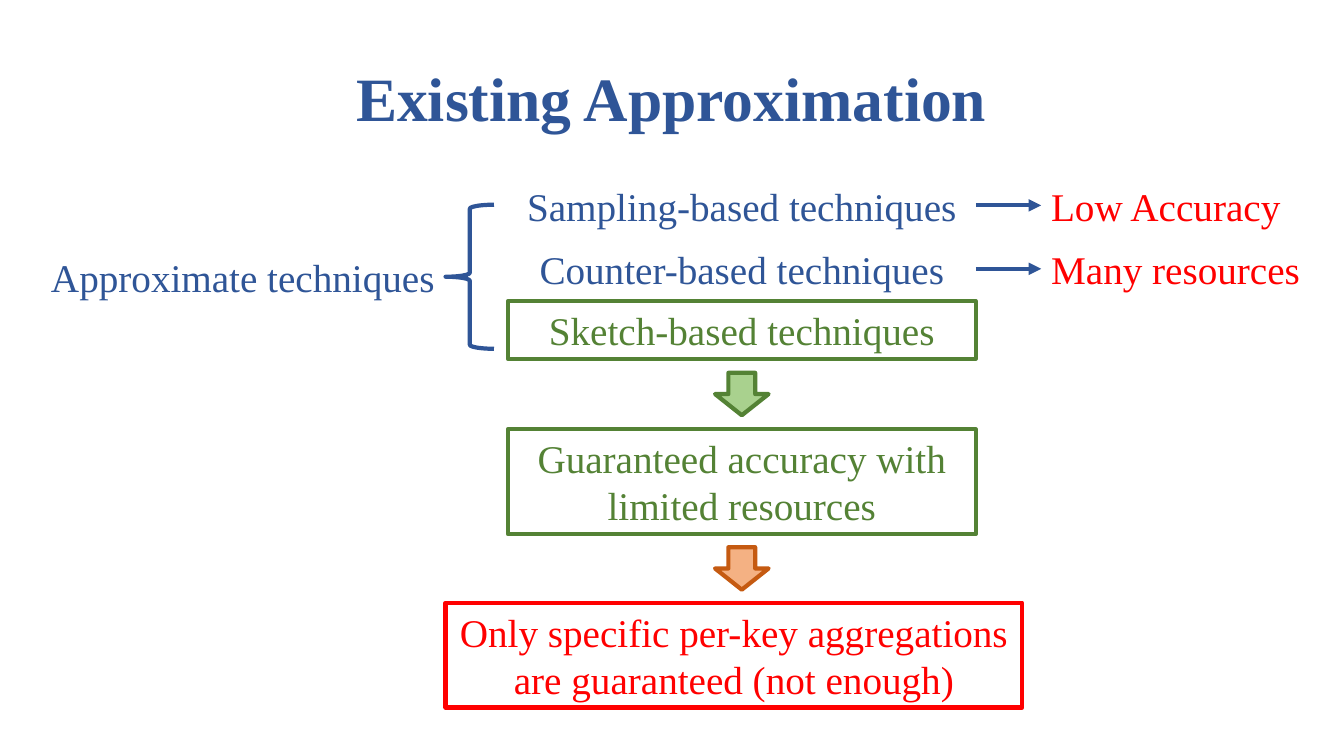
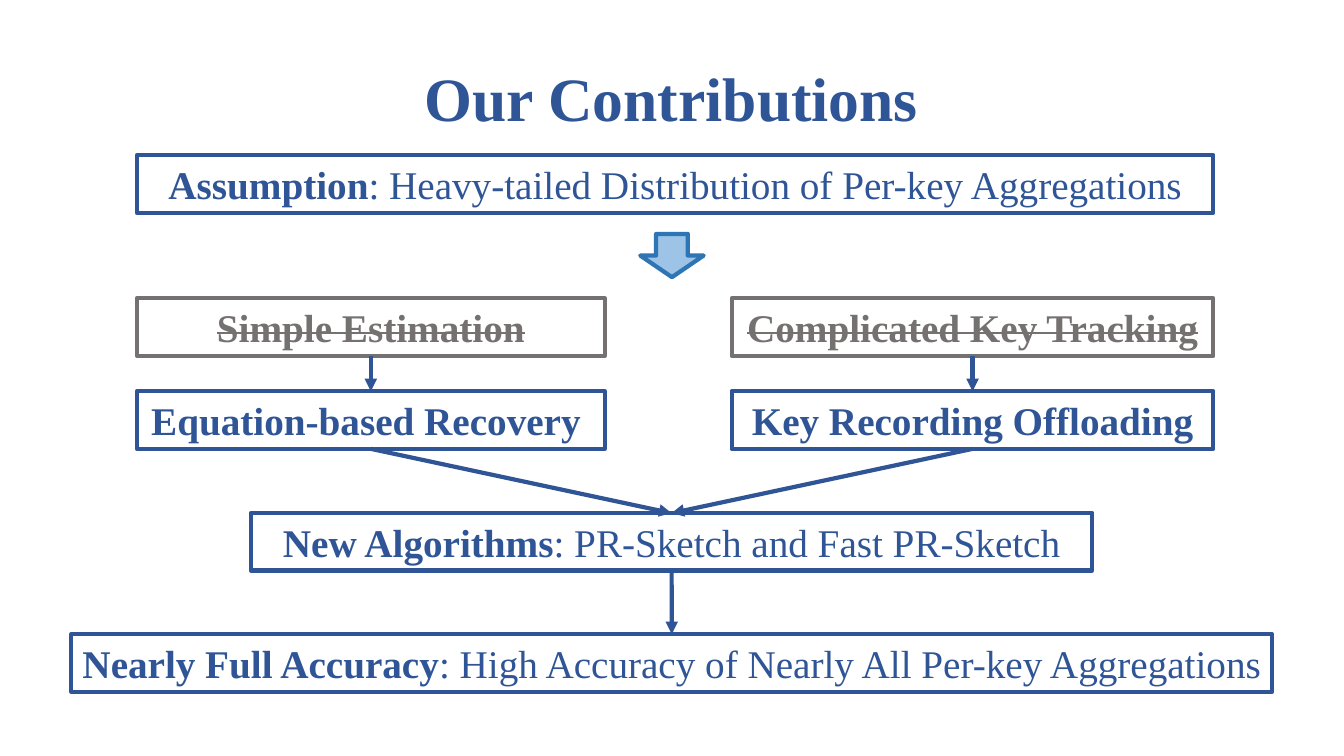
from dataclasses import dataclass

from lxml import etree
from pptx import Presentation
from pptx.dml.color import RGBColor
from pptx.enum import shapes, text
from pptx.oxml import ns
from pptx.util import Cm, Pt


@dataclass(frozen=True)
class Theme:
    """Colours, type sizes and line width of the deck."""
    font: str = "Times New Roman"
    title_size: int = 44
    body_size: int = 28
    line_width: int = 3
    blue: str = "2F5597"
    green: str = "548235"
    red: str = "FF0000"
    grey: str = "767171"
    blue_arrow: tuple = ("9DC3E6", "2E75B6")
    green_arrow: tuple = ("A9D18E", "548235")
    orange_arrow: tuple = ("F4B183", "C55A11")


THEME = Theme()
PAGE_SIZE = (33.87, 19.05)
TITLE_AREA = (0.81, 1.37, 32.23, 2.13)
ONE_LINE, TWO_LINES = 1.45, 2.64
SITE_TOP, SITE_LEFT, SITE_BOTTOM, SITE_RIGHT = range(4)
BOLD, STRUCK = {"bold": True}, {"bold": True, "strike": True}

# Existing Approximation: lengths in cm
FAMILY = "Approximate techniques"
TECHNIQUES = [  # name, verdict, top, verdict width
    ("Sampling-based techniques", "Low Accuracy", 4.45, 6.5),
    ("Counter-based techniques", "Many resources", 6.05, 6.83),
]
SKETCH = "Sketch-based techniques"
BENEFIT = "Guaranteed accuracy with limited resources"
LIMIT = "Only specific per-key aggregations are guaranteed (not enough)"
TECHNIQUE_LEFT, TECHNIQUE_WIDTH, VERDICT_LEFT = 12.8, 11.79, 26.24

# Our Contributions: lengths in cm
ASSUMPTION = [("Assumption", BOLD),
              (": Heavy-tailed Distribution of Per-key Aggregations", {})]
REPLACEMENTS = [  # old way, new way, left, width
    ("Simple Estimation", "Equation-based Recovery ", 3.45, 11.79),
    ("Complicated Key Tracking", "Key Recording Offloading", 18.44, 12.14),
]
ALGORITHMS = [("New Algorithms", BOLD),
              (": PR-Sketch and Fast PR-Sketch", {})]
RESULT = [("Nearly Full Accuracy", BOLD),
          (": High Accuracy of Nearly All Per-key Aggregations ", {})]


def apply_format(target, values):
    """Set every attribute named in a dict of format values."""
    for name, value in values.items():
        setattr(target, name, value)


def write(box, spans, color, size=THEME.body_size, align="CENTER"):
    """Write a string or a list of (words, style) spans into a shape."""
    apply_format(box.text_frame, {
        "word_wrap": True,
        "auto_size": text.MSO_AUTO_SIZE.NONE,
        "vertical_anchor": text.MSO_ANCHOR.MIDDLE,
    })
    para = box.text_frame.paragraphs[0]
    para.alignment = getattr(text.PP_ALIGN, align)
    for words, style in [(spans, {})] if isinstance(spans, str) else spans:
        span = para.add_run()
        span.text = words
        apply_format(span.font, {"name": THEME.font, "size": Pt(size),
                                 "bold": style.get("bold", False)})
        span.font.color.rgb = RGBColor.from_string(color)
        if style.get("strike"):
            span.font._element.set("strike", "sngStrike")


def draw_line(line, color):
    """Give an outline the deck's width and a colour."""
    line.width = Pt(THEME.line_width)
    line.color.rgb = RGBColor.from_string(color)


def add_outline(page, kind, area, color, fill=None):
    """Add a preset shape, unfilled unless a fill is given."""
    shape = page.shapes.add_shape(kind, *map(Cm, area))
    shape.shadow.inherit = False
    draw_line(shape.line, color)
    if fill:
        shape.fill.solid()
        shape.fill.fore_color.rgb = RGBColor.from_string(fill)
    else:
        shape.fill.background()
    return shape


def add_frame(page, area, spans, color):
    """Add an outlined box whose words share the outline's colour."""
    box = add_outline(page, shapes.MSO_SHAPE.RECTANGLE, area, color)
    write(box, spans, color)
    return box


def add_label(page, area, words, color, align="CENTER"):
    """Add plain words without an outline."""
    box = page.shapes.add_textbox(*map(Cm, area))
    write(box, words, color, align=align)
    return box


def add_block_arrow(page, center, upper, lower, colors, size):
    """Centre a block arrow in the gap between two boxes."""
    width, height = size
    middle = ((upper.top + upper.height + lower.top) / 2) / Cm(1)
    area = (center - width / 2, middle - height / 2, width, height)
    fill, outline = colors
    add_outline(page, shapes.MSO_SHAPE.DOWN_ARROW, area, outline, fill)


def link(page, start, end, start_site=SITE_BOTTOM, end_site=SITE_TOP):
    """Join two boxes with an arrow."""
    arrow = page.shapes.add_connector(shapes.MSO_CONNECTOR.STRAIGHT, 0, 0, 0, 0)
    arrow.begin_connect(start, start_site)
    arrow.end_connect(end, end_site)
    draw_line(arrow.line, THEME.blue)
    head = etree.SubElement(arrow.line._get_or_add_ln(), ns.qn("a:tailEnd"))
    head.set("type", "triangle")
    etree.SubElement(arrow._element.spPr, ns.qn("a:effectLst"))


def start_deck():
    """Create the deck and place the title once, on the layout."""
    deck = Presentation()
    deck.slide_width, deck.slide_height = map(Cm, PAGE_SIZE)
    layout = deck.slide_layouts.get_by_name("Title Only")
    places = zip(("left", "top", "width", "height"), map(Cm, TITLE_AREA))
    apply_format(layout.placeholders[0], dict(places))
    return deck, layout


def add_page(deck, layout, title):
    """Add a slide with the shared title style."""
    page = deck.slides.add_slide(layout)
    write(page.shapes.title, [(title, BOLD)], THEME.blue, THEME.title_size)
    return page


def build_approximation(page):
    """Draw the technique families and the path from sketches to their limit."""
    add_label(page, (0.81, 6.25, 10.62, ONE_LINE), FAMILY, THEME.blue)
    add_outline(page, shapes.MSO_SHAPE.LEFT_BRACE,
                (11.23, 5.16, 1.22, 3.63), THEME.blue)
    for name, verdict, top, verdict_width in TECHNIQUES:
        technique = add_label(
            page, (TECHNIQUE_LEFT, top, TECHNIQUE_WIDTH, ONE_LINE), name, THEME.blue)
        outcome = add_label(page, (VERDICT_LEFT, top, verdict_width, ONE_LINE),
                            verdict, THEME.red, "LEFT")
        link(page, technique, outcome, SITE_RIGHT, SITE_LEFT)

    sketch = add_frame(page, (TECHNIQUE_LEFT, 7.59, TECHNIQUE_WIDTH, ONE_LINE),
                       SKETCH, THEME.green)
    benefit = add_frame(page, (TECHNIQUE_LEFT, 10.82, TECHNIQUE_WIDTH, TWO_LINES),
                        BENEFIT, THEME.green)
    limit = add_frame(page, (11.23, 15.19, 14.53, TWO_LINES), LIMIT, THEME.red)
    center = TECHNIQUE_LEFT + TECHNIQUE_WIDTH / 2
    for upper, lower, colors in [(sketch, benefit, THEME.green_arrow),
                                 (benefit, limit, THEME.orange_arrow)]:
        add_block_arrow(page, center, upper, lower, colors, (1.35, 1.07))


def build_contributions(page):
    """Draw the flow from the assumption to the accuracy result."""
    assumption = add_frame(page, (3.45, 3.91, 27.13, ONE_LINE),
                           ASSUMPTION, THEME.blue)
    algorithms = add_frame(page, (6.32, 12.93, 21.21, ONE_LINE),
                           ALGORITHMS, THEME.blue)
    result = add_frame(page, (1.8, 15.98, 30.26, ONE_LINE), RESULT, THEME.blue)
    for old_way, new_way, left, width in REPLACEMENTS:
        old = add_frame(page, (left, 7.52, width, ONE_LINE),
                        [(old_way, STRUCK)], THEME.grey)
        new = add_frame(page, (left, 9.86, width, ONE_LINE),
                        [(new_way, BOLD)], THEME.blue)
        link(page, old, new)
        link(page, new, algorithms)
    link(page, algorithms, result)
    add_block_arrow(page, PAGE_SIZE[0] / 2, assumption, old,
                    THEME.blue_arrow, (1.6, 1.09))


def main():
    """Build and save the deck."""
    deck, layout = start_deck()
    build_approximation(add_page(deck, layout, "Existing Approximation"))
    build_contributions(add_page(deck, layout, "Our Contributions"))
    deck.save("out.pptx")


main()
